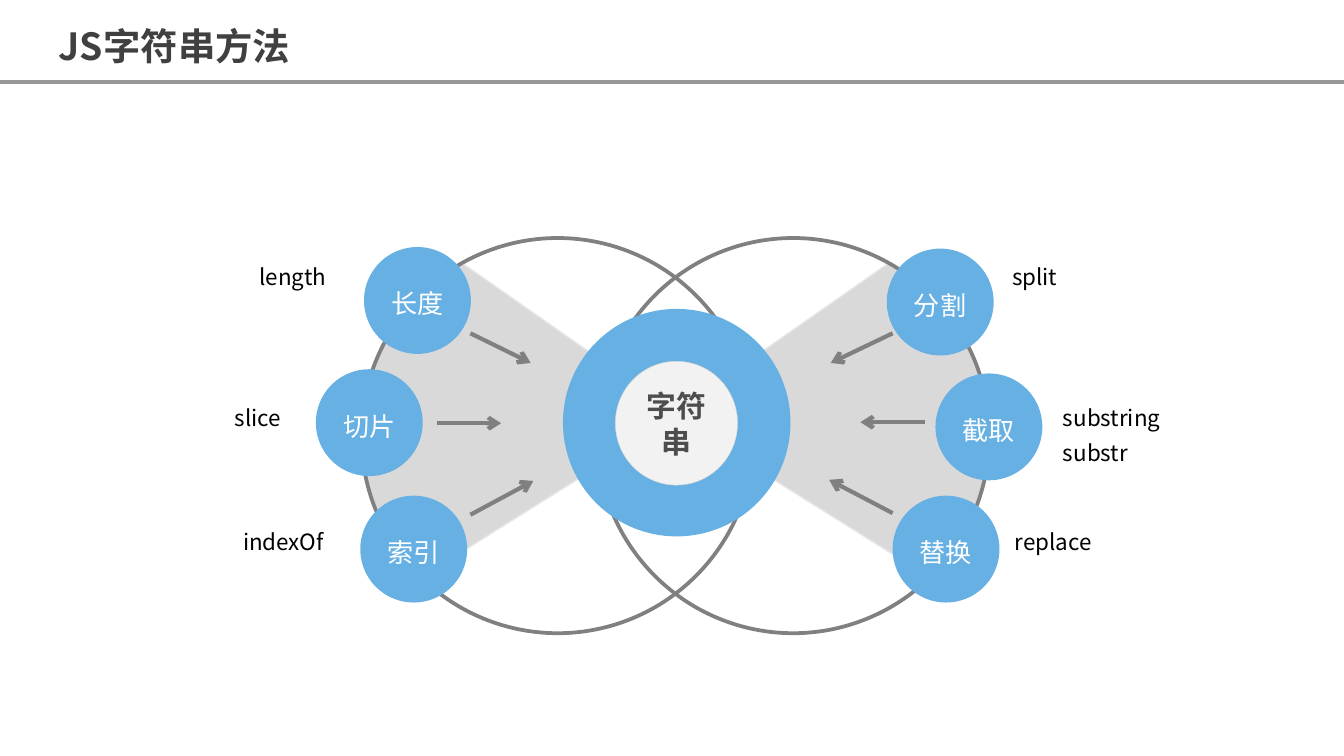
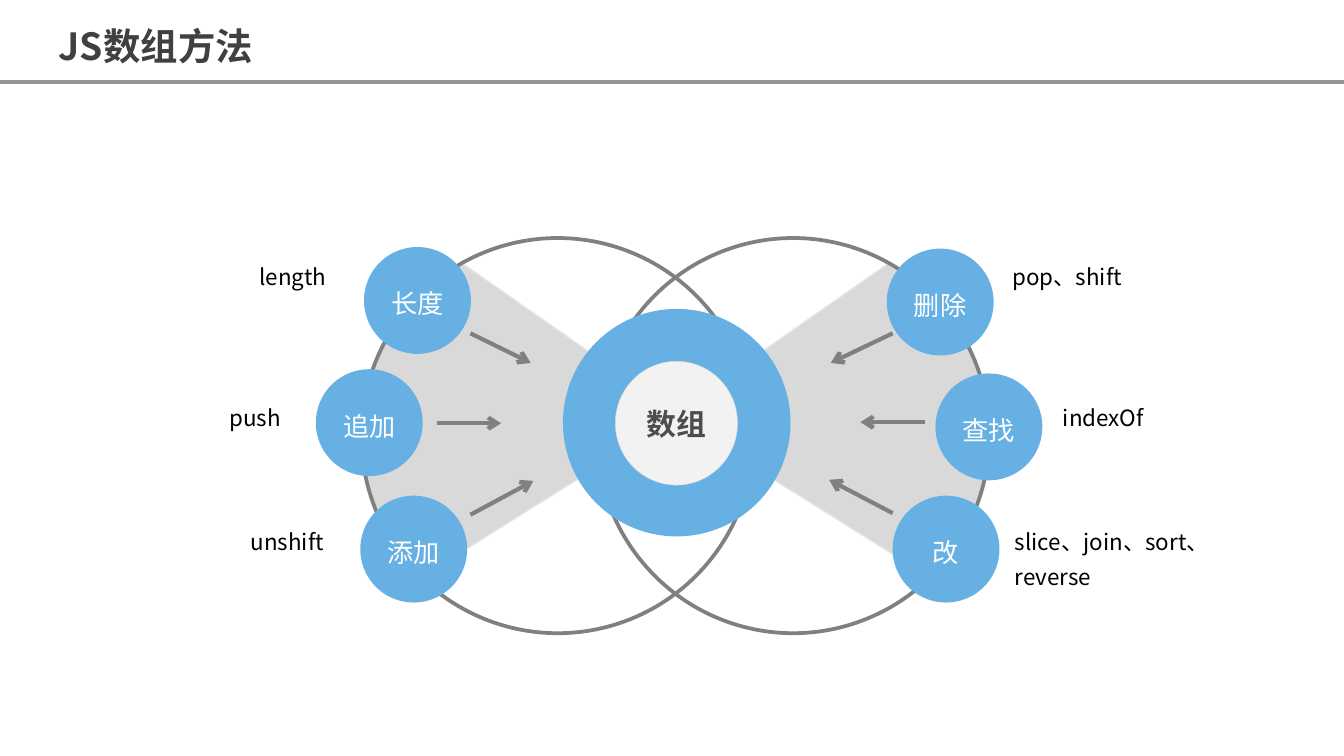
from pptx import Presentation
from pptx.dml.color import RGBColor
from pptx.enum.shapes import MSO_CONNECTOR as Link, MSO_SHAPE as Kind
from pptx.enum.text import MSO_ANCHOR as Anchor, MSO_AUTO_SIZE as Fit, PP_ALIGN as Align
from pptx.oxml.ns import qn
from pptx.util import Cm, Pt
from lxml.etree import SubElement as Sub

# Shared look
BLUE, GRAY, RULE = "67B0E3", "808080", "969696"
WEDGE, EDGE = "D9D9D9", "E6E6E6"
CORE, RIM, DARK, INK = "F2F2F2", "D7D7D7", "4D4D4D", "404040"
SANS = "Noto Sans CJK SC"
WIDTH, HEIGHT = 25.4, 14.29
INSET = (0.18, 0.1)

# Layout in cm: left column top to bottom, then right column
NODE, LABEL = 2.02, 4.8
NODES = [(6.88, 4.67), (5.97, 6.98), (6.81, 9.37),
         (16.76, 4.7), (17.68, 7.06), (16.87, 9.37)]
LABELS = [(1.55, 4.72), (0.69, 7.39), (1.5, 9.73),
          (18.95, 4.72), (19.91, 7.39), (19, 9.73)]
ARROWS = [(8.89, 6.3, 10.03, 6.86), (8.26, 8, 9.47, 8), (8.89, 9.73, 10.08, 9.09),
          (16.87, 6.3, 15.7, 6.86), (17.48, 7.98, 16.26, 7.98), (16.87, 9.7, 15.67, 9.07)]

# Left wedge: curves joined by straight sides; the right one is its mirror
TOP = [(7.37, 6.32), (7.95, 5.54), (7.82, 5.59), (8.74, 4.98)]
TIP = (12.85, 7.85)
LOW = [(7.98, 10.9), (6.78, 9.45), (6.91, 8.92), (6.83, 8.18)]
SIDE = [(6.83, 8.18), (6.88, 7.54), (7.01, 6.88), (7.37, 6.32)]
MIRROR = 25.53

# Title, centre, and (node, label) pairs of each slide
SLIDES = [
    ("JS字符串方法", "字符串",
     [("长度", "length"), ("切片", "slice"), ("索引", "indexOf"),
      ("分割", "split"), ("截取", "substring\nsubstr"), ("替换", "replace")]),
    ("JS数组方法", "数组",
     [("长度", "length"), ("追加", "push"), ("添加", "unshift"),
      ("删除", "pop、shift"), ("查找", "indexOf"), ("改", "slice、join、sort、reverse")]),
]


def color(code):
    return RGBColor.from_string(code)


def paint(shape, fill=None, line=None, width=1):
    shape.shadow.inherit = False
    if fill:
        shape.fill.solid()
        shape.fill.fore_color.rgb = color(fill)
    else:
        shape.fill.background()
    if line:
        shape.line.color.rgb = color(line)
        shape.line.width = Pt(width)
    else:
        shape.line.fill.background()


def write(shape, text, size, font, ink, bold=False, align=None, space=None, inset=None):
    frame = shape.text_frame
    frame.text = text
    frame.word_wrap = True
    if inset:
        frame.margin_left = frame.margin_right = Cm(inset[0])
        frame.margin_top = frame.margin_bottom = Cm(inset[1])
    for para in frame.paragraphs:
        para.alignment = align
        para.line_spacing = space
        for run in para.runs:
            run.font.size = Pt(size)
            run.font.bold = bold
            run.font.name = font
            run.font.color.rgb = color(ink)
            Sub(run.font._element, qn("a:ea"), typeface=SANS)
    return frame


def oval(shapes, x, y, w, h, **look):
    shape = shapes.add_shape(Kind.OVAL, Cm(x), Cm(y), Cm(w), Cm(h))
    paint(shape, **look)
    return shape


def stroke(slide, x1, y1, x2, y2, ink, width, head=False):
    line = slide.shapes.add_connector(Link.STRAIGHT, Cm(x1), Cm(y1), Cm(x2), Cm(y2))
    line.line.color.rgb = color(ink)
    line.line.width = Pt(width)
    if head:
        Sub(line.line._get_or_add_ln(), qn("a:tailEnd"), type="arrow")
    Sub(line._element.spPr, qn("a:effectLst"))


def curve(a, b, c, d, steps=16):
    """Points along a cubic curve."""
    points = []
    for i in range(steps + 1):
        t = i / steps
        u = 1 - t
        points.append(tuple(u**3 * p + 3 * u * u * t * q + 3 * u * t * t * r + t**3 * s
                            for p, q, r, s in zip(a, b, c, d)))
    return points


def wedge(slide, flip):
    points = curve(*TOP) + [TIP] + curve(*LOW) + curve(*SIDE)
    spots = [(Cm(MIRROR - x if flip else x), Cm(y)) for x, y in points]
    pen = slide.shapes.build_freeform(*spots[0])
    pen.add_line_segments(spots[1:], close=True)
    paint(pen.convert_to_shape(), WEDGE, EDGE, 0.75)


def box(slide, x, y, w, h, text, *style, **more):
    shape = slide.shapes.add_textbox(Cm(x), Cm(y), Cm(w), Cm(h))
    write(shape, text, *style, **more).auto_size = Fit.SHAPE_TO_FIT_TEXT


def hub(slide, text):
    group = slide.shapes.add_group_shape().shapes
    oval(group, 10.64, 5.84, 4.3, 4.3, fill=BLUE)
    core = oval(group, 11.63, 6.83, 2.31, 2.34, fill=CORE, line=RIM, width=0.25)
    frame = write(core, text, 16, "Roboto Condensed", DARK, True, Align.CENTER)
    frame.vertical_anchor = Anchor.MIDDLE


def node(slide, spot, text):
    shape = oval(slide.shapes, *spot, NODE, NODE, fill=BLUE)
    frame = write(shape, text, 14, "Arial", "FFFFFF", align=Align.CENTER,
                  space=1.2, inset=INSET)
    frame.vertical_anchor = Anchor.MIDDLE


def build(deck, title, centre, items):
    slide = deck.slides.add_slide(deck.slide_layouts[6])
    stroke(slide, 0, 1.55, WIDTH, 1.55, RULE, 1.75)

    # Backdrop
    for flip in (True, False):
        wedge(slide, flip)
    for x in (6.83, 11.28):
        oval(slide.shapes, x, 4.5, 7.42, 7.47, line=GRAY, width=2)
    for ends in ARROWS:
        stroke(slide, *ends, GRAY, 2.25, head=True)

    # Centre, nodes and labels
    hub(slide, centre)
    for spot, (name, _) in zip(NODES, items):
        node(slide, spot, name)
    for i, (spot, (_, text)) in enumerate(zip(LABELS, items)):
        tall = 1.5 if len(text) > 12 else 0.79
        side = Align.RIGHT if i < 3 else Align.LEFT
        box(slide, *spot, LABEL, tall, text, 12, SANS, "000000",
            align=side, space=1.3, inset=INSET)
    box(slide, 0.86, 0.15, 6.63, 1.19, title, 20, SANS, INK, bold=True, space=1.2)


def main():
    deck = Presentation()
    deck.slide_width, deck.slide_height = Cm(WIDTH), Cm(HEIGHT)
    for page in SLIDES:
        build(deck, *page)
    deck.save("out.pptx")


if __name__ == "__main__":
    main()
